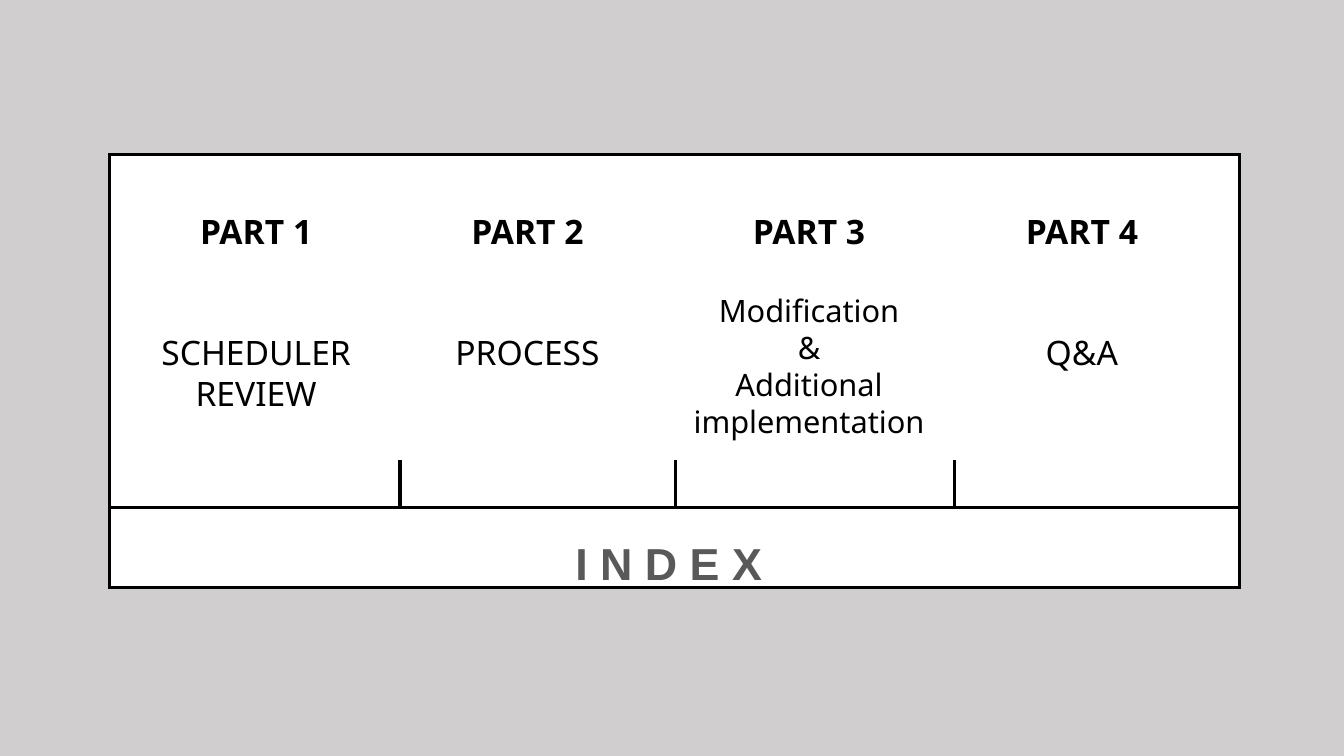
from dataclasses import dataclass

from lxml import etree
from pptx import Presentation
from pptx.dml.color import RGBColor
from pptx.enum.shapes import MSO_CONNECTOR, MSO_SHAPE
from pptx.enum.text import MSO_ANCHOR, MSO_AUTO_SIZE, PP_ALIGN
from pptx.oxml.ns import qn
from pptx.util import Cm, Pt

RECT = MSO_SHAPE.RECTANGLE
STRAIGHT = MSO_CONNECTOR.STRAIGHT
CENTER = PP_ALIGN.CENTER
TOP = MSO_ANCHOR.TOP
NO_FIT = MSO_AUTO_SIZE.NONE

GREY = RGBColor(0xD0, 0xCE, 0xCE)
WHITE = RGBColor(0xFF, 0xFF, 0xFF)
BLACK = RGBColor(0, 0, 0)
DARK = RGBColor(0x59, 0x59, 0x59)

LEFT, WIDTH = 2.77, 28.47
PANEL_TOP, PANEL_HIGH = 3.89, 10.92
BAR_TOP, BAR_HIGH = 12.78, 2.03
TICK_TOP = 11.58
PART_TOP = 5.18
LINE = 2.25


@dataclass
class Part:
    left: float
    width: float
    height: float
    lines: list[str]
    size: int = 24
    gap: float = 58.2


PARTS = [
    Part(3.56, 5.79, 5.38, ["SCHEDULER", "REVIEW"]),
    Part(10.21, 6.17, 4.37, ["PROCESS"]),
    Part(16.87, 7.04, 6.07,
         ["Modification", "&", "Additional", "implementation"], 22, 29.1),
    Part(24.18, 6.17, 4.37, ["Q&A"]),
]
TICKS = [10.08, 17.02, 24.05]


def style(para, name: str, size: int, color: RGBColor, bold: bool) -> None:
    para.alignment = CENTER
    for run in para.runs:
        font = run.font
        font.name, font.size, font.bold = name, Pt(size), bold
        font.color.rgb = color


def edge(shape) -> None:
    shape.line.color.rgb = BLACK
    shape.line.width = Pt(LINE)
    line = shape.element.spPr.find(qn("a:ln"))
    etree.SubElement(line, qn("a:miter"), lim="800000")


def add_panel(slide) -> None:
    panel = slide.shapes.add_shape(
        RECT, Cm(LEFT), Cm(PANEL_TOP), Cm(WIDTH), Cm(PANEL_HIGH))
    panel.shadow.inherit = False
    panel.fill.solid()
    panel.fill.fore_color.rgb = WHITE
    edge(panel)
    slide.shapes.title.element.addprevious(panel.element)


def set_title(slide) -> None:
    title = slide.shapes.title
    title.left, title.top = Cm(LEFT), Cm(BAR_TOP)
    title.width, title.height = Cm(WIDTH), Cm(BAR_HIGH)
    title.fill.background()
    edge(title)
    frame = title.text_frame
    frame.text = "I N D E X"
    frame.auto_size = NO_FIT
    frame.vertical_anchor = TOP
    frame.margin_top, frame.margin_bottom = Cm(0.05), 0
    frame.margin_right = Cm(0.55)
    para = frame.paragraphs[0]
    para.line_spacing = 1.5
    para.space_before = Pt(0)
    style(para, "Arial", 32, DARK, True)


def add_tick(slide, left: float) -> None:
    tick = slide.shapes.add_connector(
        STRAIGHT, Cm(left), Cm(BAR_TOP), Cm(left), Cm(TICK_TOP))
    edge(tick)
    etree.SubElement(tick.element.spPr, qn("a:effectLst"))


def add_part(slide, num: int, part: Part) -> None:
    box = slide.shapes.add_textbox(
        Cm(part.left), Cm(PART_TOP), Cm(part.width), Cm(part.height))
    frame = box.text_frame
    frame.word_wrap = True
    frame.text = "\n".join([f"PART {num}", *part.lines])
    head, *body = frame.paragraphs
    style(head, "Noto Sans", 24, BLACK, True)
    for para in body:
        style(para, "Noto Sans", part.size, BLACK, False)
    body[0].space_before = Pt(part.gap)


def main() -> None:
    deck = Presentation()
    deck.slide_width, deck.slide_height = Cm(33.87), Cm(19.05)
    slide = deck.slides.add_slide(deck.slide_layouts.get_by_name("Title Only"))
    slide.background.fill.solid()
    slide.background.fill.fore_color.rgb = GREY
    add_panel(slide)
    set_title(slide)
    for left in TICKS:
        add_tick(slide, left)
    for num, part in enumerate(PARTS, 1):
        add_part(slide, num, part)
    deck.save("out.pptx")


if __name__ == "__main__":
    main()
